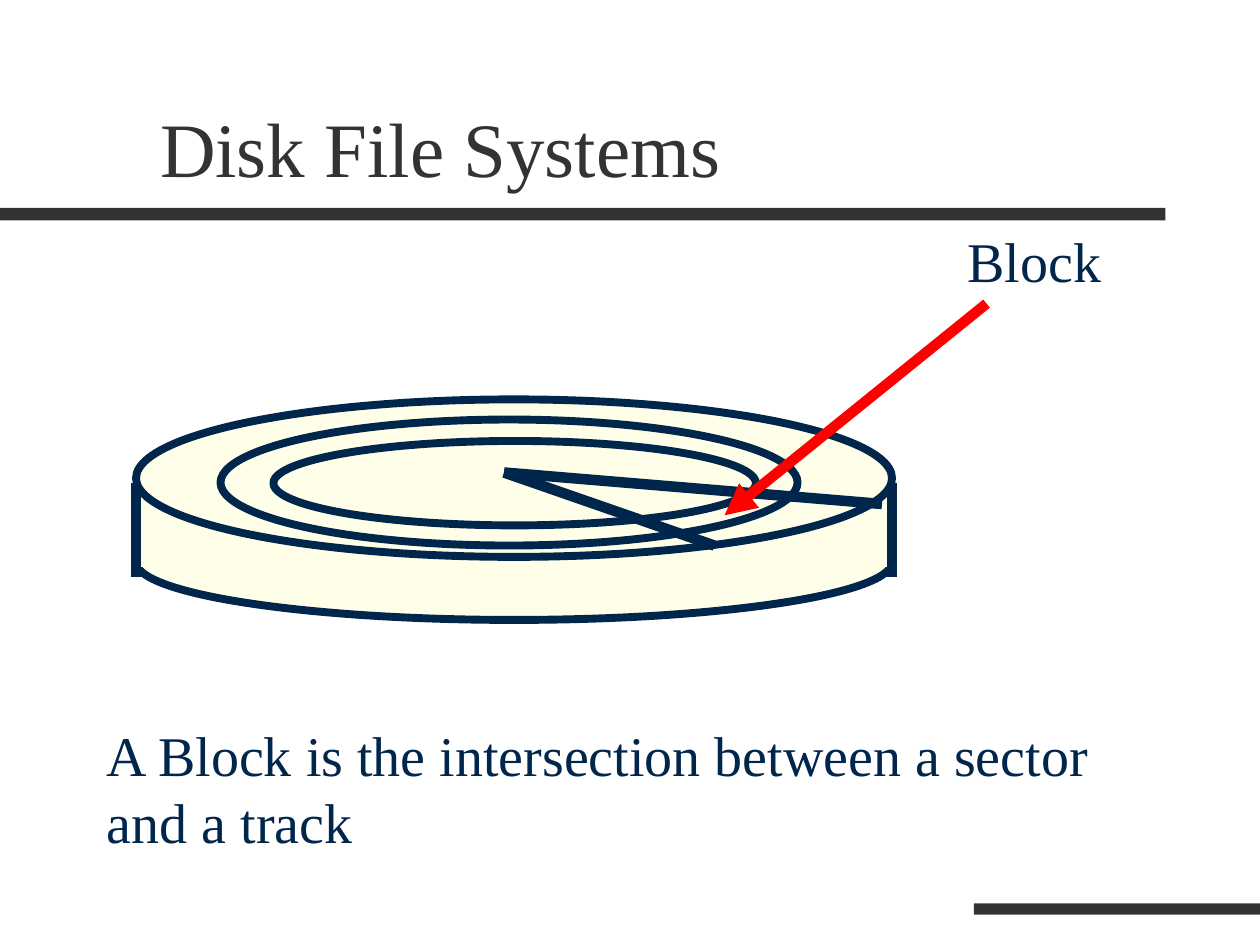
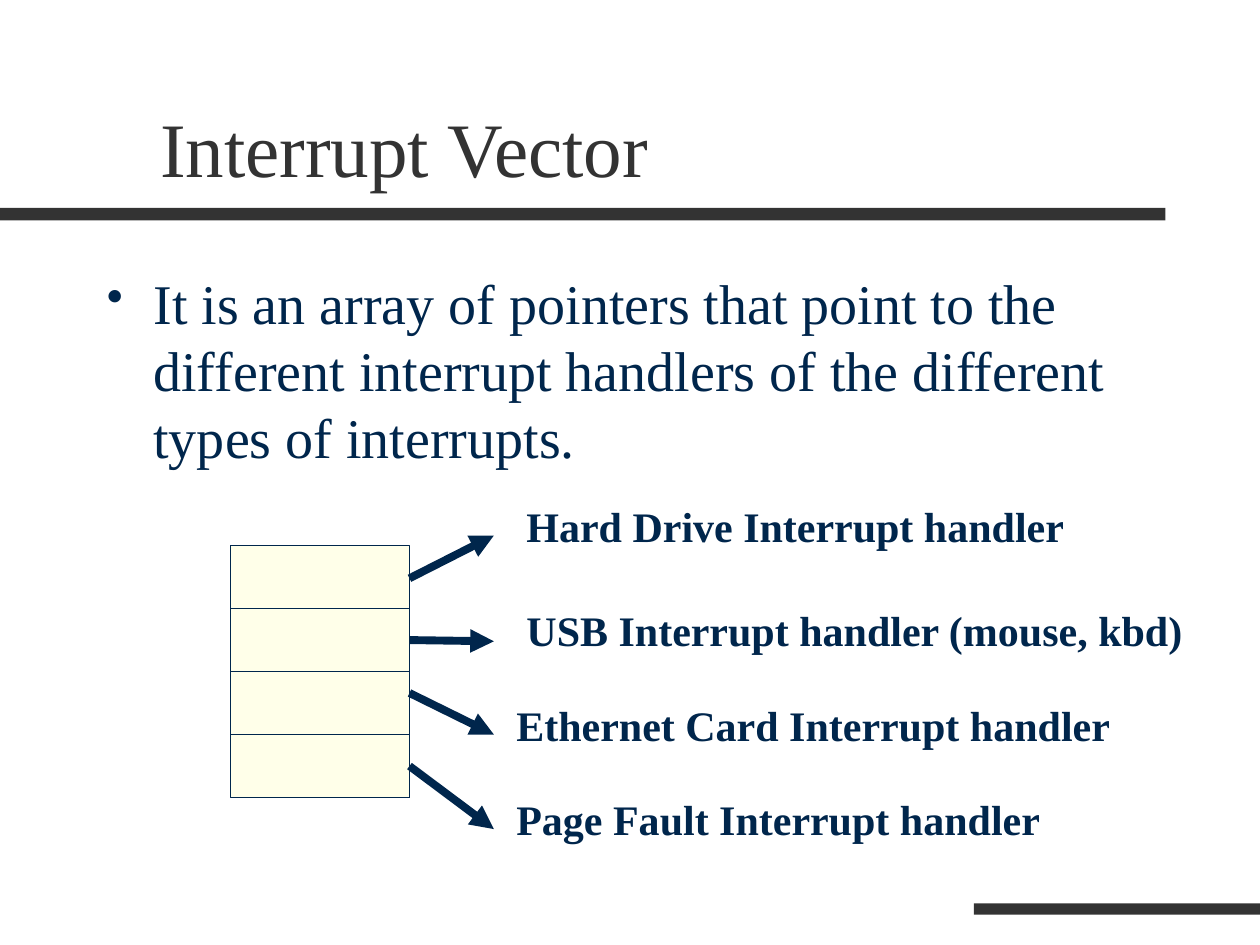
from lxml import etree
from pptx import Presentation
from pptx.dml.color import RGBColor
from pptx.enum.shapes import MSO_CONNECTOR, MSO_SHAPE
from pptx.enum.text import MSO_ANCHOR, MSO_AUTO_SIZE, PP_ALIGN
from pptx.oxml.ns import qn
from pptx.util import Inches, Pt

NAVY = RGBColor(0x00, 0x26, 0x4C)
CREAM = RGBColor(0xFF, 0xFF, 0xE9)
CHARCOAL = RGBColor(0x33, 0x33, 0x33)
RED = RGBColor(0xFF, 0x00, 0x00)
FONT = "Times New Roman"
RECTANGLE = MSO_SHAPE.RECTANGLE
OVAL = MSO_SHAPE.OVAL
STRAIGHT = MSO_CONNECTOR.STRAIGHT

TITLES = ["Disk File Systems", "Interrupt Vector"]
BANDS = [(0, 1.65, 9.25, 0.1), (7.73, 7.17, 2.27, 0.09)]

# Disk parts from back to front: shape, position and size, outline width
DISK_PARTS = [
    (OVAL, (1.08, 4, 6, 0.92), 4.5),
    (RECTANGLE, (1.08, 3.83, 6, 0.67), 0),
    (OVAL, (1.08, 3.17, 6, 1.25), 4.5),
    (OVAL, (1.75, 3.33, 4.58, 1), 4.5),
    (OVAL, (2.17, 3.5, 3.83, 0.67), 4.5),
]
DISK_CENTER = (4, 3.75)

# Handler name, label position, arrow start and end heights
HANDLERS = [
    ("Hard Drive Interrupt handler", (4.08, 3.92), 4.59, 4.25),
    ("USB Interrupt handler (mouse, kbd)", (4.08, 4.75), 5.08, 5.09),
    ("Ethernet Card Interrupt handler", (4, 5.5), 5.5, 5.83),
    ("Page Fault Interrupt handler", (4, 6.25), 6.08, 6.58),
]
VECTOR_LEFT, VECTOR_TOP, VECTOR_WIDTH, ENTRY_HEIGHT = 1.83, 4.33, 1.42, 0.5
VECTOR_RIGHT = VECTOR_LEFT + VECTOR_WIDTH


def add_line(page, start, end, width, color=NAVY, arrow=False):
    line = page.shapes.add_connector(STRAIGHT, *map(Inches, start + end))
    line.line.color.rgb = color
    line.line.width = Pt(width)
    if arrow:
        etree.SubElement(line.line._get_or_add_ln(), qn("a:tailEnd"), type="triangle")
    etree.SubElement(line._element.spPr, qn("a:effectLst"))


def add_text(page, text, place, size, bold=False, bullet=False):
    box = page.shapes.add_textbox(*map(Inches, place))
    box.text_frame.word_wrap = True
    para = box.text_frame.paragraphs[0]
    para.text = text
    if bullet:
        properties = para._p.get_or_add_pPr()
        properties.set("marL", str(Inches(0.37)))
        properties.set("indent", str(-Inches(0.37)))
        etree.SubElement(properties, qn("a:buSzPct"), val="85000")
        etree.SubElement(properties, qn("a:buChar"), char="•")
    para.font.name = FONT
    para.font.size = Pt(size)
    para.font.bold = bold
    para.font.color.rgb = NAVY


deck = Presentation()
deck.slide_width = Inches(10)
deck.slide_height = Inches(7.5)

# Shared bands and titles
for heading in TITLES:
    page = deck.slides.add_slide(deck.slide_layouts[5])
    for place in BANDS:
        band = page.shapes.add_shape(RECTANGLE, *map(Inches, place))
        band.shadow.inherit = False
        band.fill.solid()
        band.fill.fore_color.rgb = CHARCOAL
        band.line.fill.background()
    title = page.shapes.title
    title.left, title.top = Inches(1.17), Inches(0.33)
    title.width, title.height = Inches(8.5), Inches(1.25)
    title.text_frame.text = heading
    title.text_frame.auto_size = MSO_AUTO_SIZE.NONE
    title.text_frame.vertical_anchor = MSO_ANCHOR.BOTTOM
    para = title.text_frame.paragraphs[0]
    para.alignment = PP_ALIGN.LEFT
    para.font.name = FONT
    para.font.size = Pt(44)
    para.font.color.rgb = CHARCOAL

disk_page, vector_page = deck.slides

# Disk with its tracks, sector and block
for kind, place, outline in DISK_PARTS:
    part = disk_page.shapes.add_shape(kind, *map(Inches, place))
    part.shadow.inherit = False
    part.fill.solid()
    part.fill.fore_color.rgb = CREAM
    if outline:
        part.line.color.rgb = NAVY
        part.line.width = Pt(outline)
    else:
        part.line.fill.background()
for edge in (1.08, 7.08):
    add_line(disk_page, (edge, 3.83), (edge, 4.58), 6)
for sector_end in [(5.67, 4.33), (7, 4)]:
    add_line(disk_page, DISK_CENTER, sector_end, 6)
add_line(disk_page, (7.83, 2.41), (5.75, 4.09), 6, RED, arrow=True)
add_text(disk_page, "Block", (7.58, 1.75, 1.92, 0.64), 32)
add_text(disk_page, "A Block is the intersection between a sector and a track",
         (0.75, 5.67, 8.42, 1.17), 32)

# Interrupt vector and the handlers its entries point to
add_text(vector_page,
         "It is an array of pointers that point to the different interrupt "
         "handlers of the different types of interrupts.",
         (0.75, 2.08, 8.5, 4.58), 32, bullet=True)
vector = vector_page.shapes.add_shape(
    RECTANGLE, Inches(VECTOR_LEFT), Inches(VECTOR_TOP),
    Inches(VECTOR_WIDTH), Inches(len(HANDLERS) * ENTRY_HEIGHT))
vector.shadow.inherit = False
vector.fill.solid()
vector.fill.fore_color.rgb = CREAM
vector.line.color.rgb = NAVY
vector.line.width = Pt(0.75)
for entry, (name, corner, arrow_start, arrow_end) in enumerate(HANDLERS, start=1):
    bottom = VECTOR_TOP + entry * ENTRY_HEIGHT
    add_line(vector_page, (VECTOR_LEFT, bottom), (VECTOR_RIGHT, bottom), 0.75)
    add_line(vector_page, (VECTOR_RIGHT, arrow_start), (3.92, arrow_end), 4.5, arrow=True)
    add_text(vector_page, name, corner + (5.9, 0.5), 24, bold=True)

deck.save("out.pptx")
